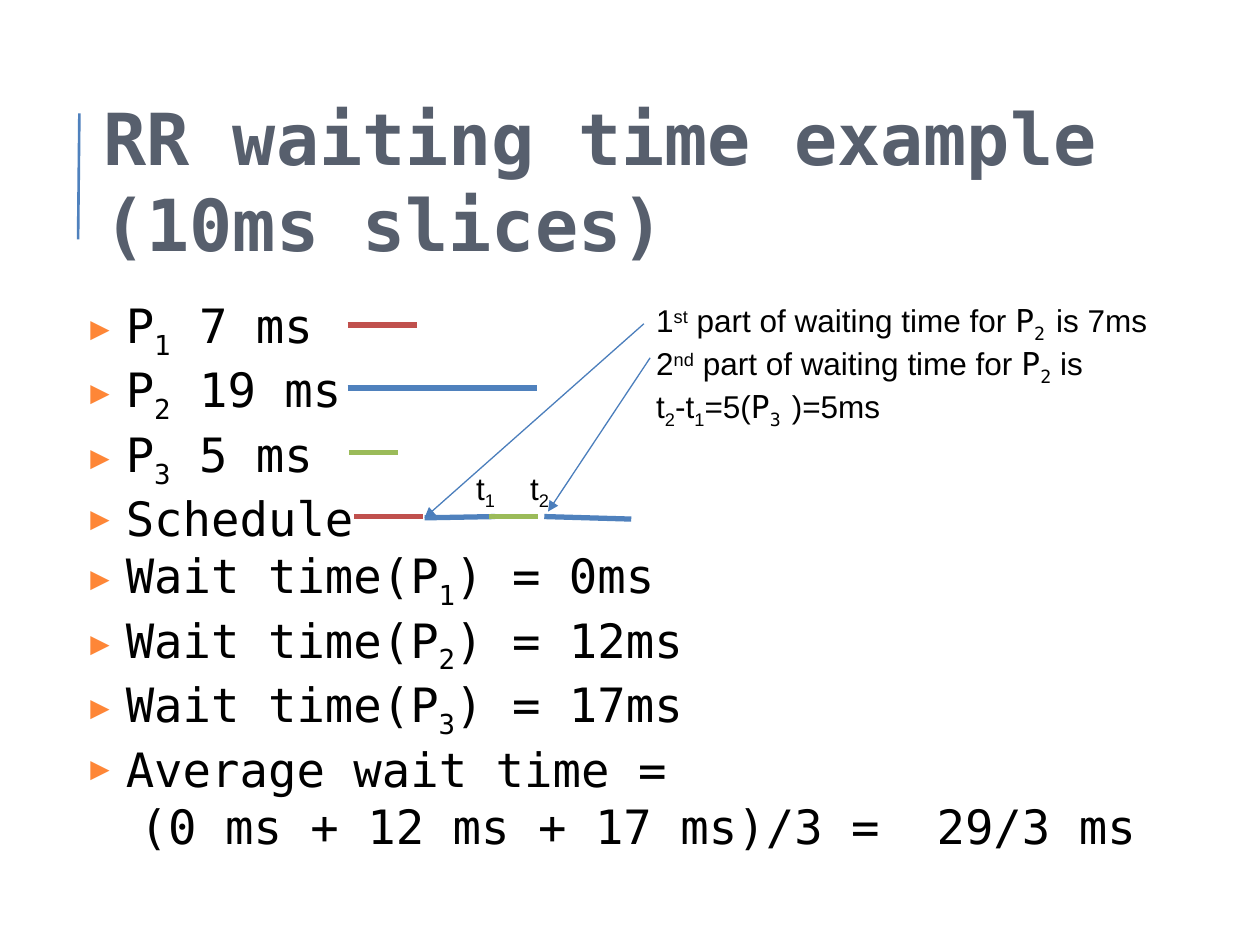
from dataclasses import dataclass

from lxml import etree
from pptx import Presentation
from pptx.dml.color import RGBColor
from pptx.enum.shapes import MSO_CONNECTOR
from pptx.enum.text import MSO_ANCHOR, PP_ALIGN
from pptx.oxml.ns import qn
from pptx.util import Inches, Pt

STRAIGHT = MSO_CONNECTOR.STRAIGHT
TOP, MIDDLE = MSO_ANCHOR.TOP, MSO_ANCHOR.MIDDLE
CENTER = PP_ALIGN.CENTER
BASELINES = {"_": "-25000", "^": "30000"}


@dataclass(frozen=True)
class Theme:
    sans: str = "Arial"
    mono: str = "DejaVu Sans Mono"
    title: str = "575F6D"
    text: str = "000000"
    bullet: str = "FE8637"
    blue: str = "4F81BD"
    arrow: str = "4B7EBC"
    red: str = "C0504D"
    green: str = "9BBB59"
    title_size: int = 41
    body_size: int = 27
    note_size: int = 18


class SlideBuilder:
    def __init__(self, slide, theme):
        self.slide = slide
        self.theme = theme

    def line(self, start, end, color, width=3, arrow=False):
        sp = self.slide.shapes.add_connector(
            STRAIGHT, *[Inches(v) for v in (*start, *end)])
        sp.line.color.rgb = RGBColor.from_string(color)
        sp.line.width = Pt(width)
        if arrow:
            etree.SubElement(sp.line._get_or_add_ln(), qn("a:tailEnd"), type="triangle")
        etree.SubElement(sp._element.spPr, qn("a:effectLst"))

    def text(self, box, lines, size, font, color=None, bold=False,
             insets=(0.1, 0.05), anchor=TOP, wrap=True):
        sp = self.slide.shapes.add_textbox(*[Inches(v) for v in box])
        tf = sp.text_frame
        x, y = [Inches(v) for v in insets]
        frame_format = {"margin_left": x, "margin_right": x, "margin_top": y,
                        "margin_bottom": y, "vertical_anchor": anchor,
                        "word_wrap": wrap}
        for name, value in frame_format.items():
            setattr(tf, name, value)
        run_format = {"size": Pt(size), "name": font, "bold": bold}
        for i, line in enumerate(lines):
            p = tf.paragraphs[0] if i == 0 else tf.add_paragraph()
            self.runs(p, line, run_format, color or self.theme.text)
        return tf

    def runs(self, p, line, run_format, color):
        """Marks: _sub_ lowers, ^sup^ raises, `mono` sets the fixed-width font."""
        baseline, mono, part = None, False, ""
        for char in line + "\n":
            if char not in "_^`\n":
                part += char
                continue
            if part:
                r = p.add_run()
                r.text = part
                for name, value in run_format.items():
                    setattr(r.font, name, value)
                r.font.color.rgb = RGBColor.from_string(color)
                if mono:
                    r.font.name = self.theme.mono
                if baseline:
                    r.font._element.set("baseline", baseline)
                part = ""
            if char == "`":
                mono = not mono
            elif char in BASELINES:
                baseline = None if baseline else BASELINES[char]

    def indent(self, p, bullet=None):
        pPr = p._p.get_or_add_pPr()
        pPr.set("marL", str(Inches(0.4)))
        pPr.set("indent", str(Inches(-0.28)))
        if bullet:
            clr = etree.SubElement(pPr, qn("a:buClr"))
            etree.SubElement(clr, qn("a:srgbClr"), val=self.theme.bullet)
            etree.SubElement(pPr, qn("a:buSzPct"), val="68000")
            etree.SubElement(pPr, qn("a:buFont"), typeface=self.theme.mono)
            etree.SubElement(pPr, qn("a:buChar"), char=bullet)


theme = Theme()
prs = Presentation()
prs.slide_width, prs.slide_height = Inches(10), Inches(7.5)
page = SlideBuilder(prs.slides.add_slide(prs.slide_layouts[6]), theme)

page.line((0.62, 1.9), (0.63, 0.9), theme.blue, 1.5)
page.text((0.82, 1.18, 9.18, 0.5), ["RR waiting time example (10ms slices)"],
          theme.title_size, theme.mono, theme.title, bold=True,
          insets=(0, 0), anchor=MIDDLE)

bursts = [f"P_{n}_ {ms} ms" for n, ms in ((1, 7), (2, 19), (3, 5))]
waits = [f"Wait time(P_{n}_) = {ms}ms" for n, ms in ((1, 0), (2, 12), (3, 17))]
body = page.text((0.5, 2.3, 9, 4.95),
                 [*bursts, "Schedule", *waits, "Average wait time = ",
                  "(0 ms + 12 ms + 17 ms)/3 =  29/3 ms"],
                 theme.body_size, theme.mono)
*items, total = body.paragraphs
for p in items:
    page.indent(p, "\u25b6")
page.indent(total)
total.alignment = CENTER

bars = [
    ((2.76, 3.08), (4.26, 3.08), theme.blue),
    ((2.76, 2.58), (3.31, 2.58), theme.red),
    ((2.77, 3.59), (3.16, 3.59), theme.green),
    ((3.37, 4.11), (3.93, 4.1), theme.blue),
    ((4.32, 4.1), (5.01, 4.12), theme.blue),
    ((2.81, 4.1), (3.36, 4.1), theme.red),
    ((3.88, 4.1), (4.27, 4.1), theme.green),
]
for start, end, color in bars:
    page.line(start, end, color)

page.text((5.11, 2.34, 4.63, 1.01),
          ["1^st^ part of waiting time for `P_2 _`is 7ms",
           "2^nd^ part of waiting time for `P_2_` is",
           "t_2_-t_1_=5(`P_3 _`)=5ms"],
          theme.note_size, theme.sans)

for start, end in (((5.16, 2.84), (4.35, 4.06)), ((5.11, 2.57), (3.37, 4.11))):
    page.line(start, end, theme.arrow, 0.75, arrow=True)

for n, left in ((1, 3.68), (2, 4.11)):
    page.text((left, 3.67, 0.36, 0.4), [f"t_{n}_"],
              theme.note_size, theme.sans, wrap=False)

prs.save("out.pptx")
